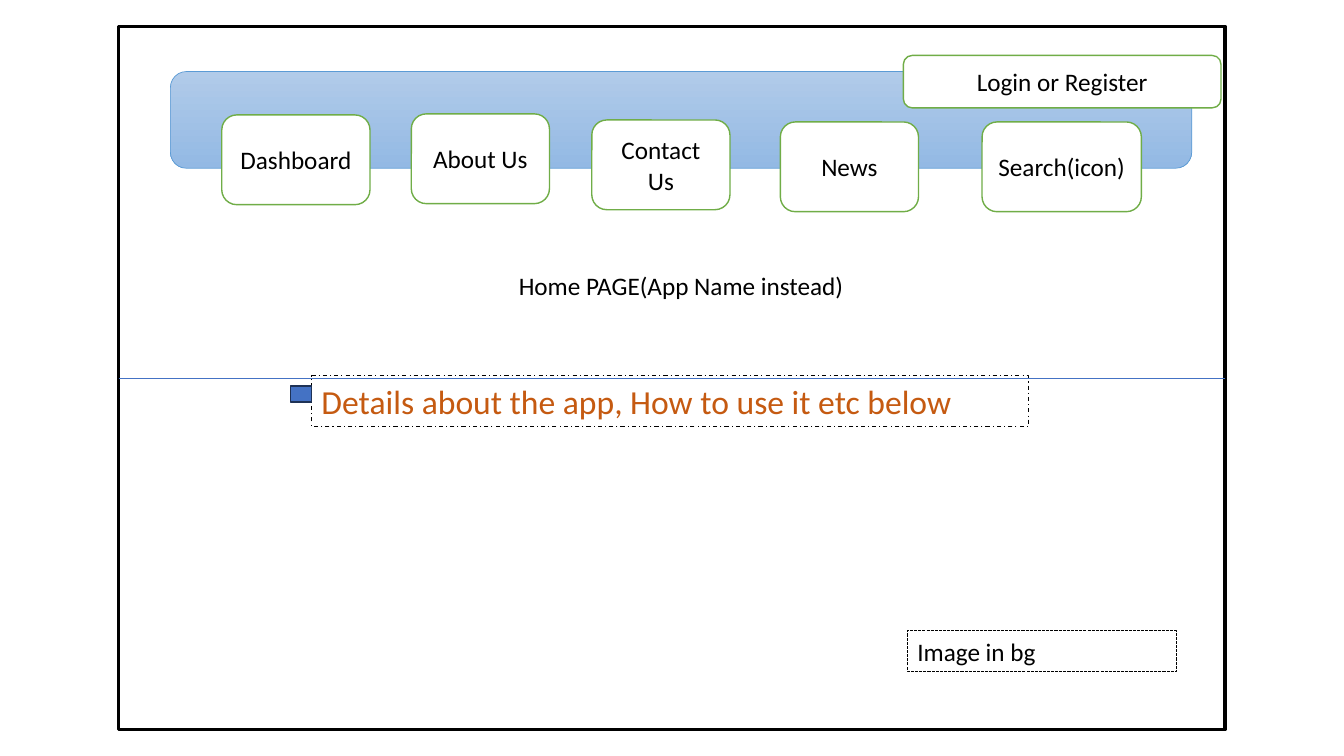
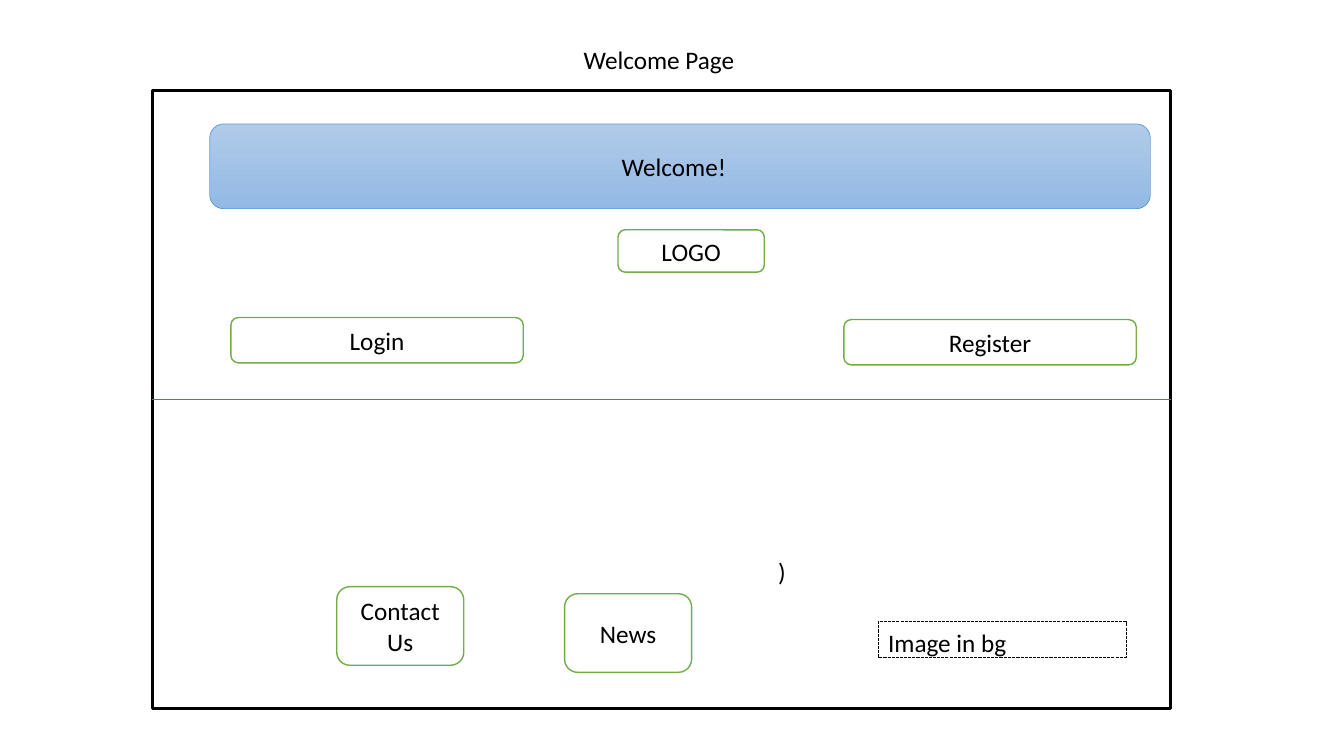
from dataclasses import dataclass

from lxml import etree
from pptx import Presentation
from pptx.dml.color import RGBColor
from pptx.enum.dml import MSO_LINE
from pptx.enum.shapes import MSO_CONNECTOR, MSO_SHAPE
from pptx.enum.text import MSO_ANCHOR, PP_ALIGN
from pptx.oxml.ns import qn
from pptx.util import Emu, Pt

RECT, ROUNDED = MSO_SHAPE.RECTANGLE, MSO_SHAPE.ROUNDED_RECTANGLE
STRAIGHT = MSO_CONNECTOR.STRAIGHT
SYS_DASH, DASH_DOT = MSO_LINE.SQUARE_DOT, MSO_LINE.DASH_DOT
LEFT, CENTER = PP_ALIGN.LEFT, PP_ALIGN.CENTER
TOP, MIDDLE = MSO_ANCHOR.TOP, MSO_ANCHOR.MIDDLE
LEFT_SIDE, RIGHT_SIDE = 1, 3

EMU_PER_PX = 9144  # 100 px to the inch
SLIDE_SIZE = (1333, 750)


@dataclass(frozen=True)
class Theme:
    font: str = "Calibri"
    body_size: int = 18
    detail_size: int = 24
    ink: str = "000000"
    paper: str = "FFFFFF"
    accent: str = "4472C4"
    marker_line: str = "1E3256"
    button_line: str = "70AD47"
    banner_line: str = "5B9BD5"
    banner_top: str = "B1CBE9"
    banner_bottom: str = "93B9E4"
    detail_ink: str = "C55A11"


THEME = Theme()

# Boxes are (left, top, width, height) in px.
HOME = {
    "frame": (118, 26, 1097, 698),
    "banner": ((169, 71, 1013, 96), "", 0),
    "buttons": [
        ("Dashboard", (220, 114, 147, 89)),
        ("About Us", (408, 113, 137, 89)),
        ("Contact Us", (587, 119, 137, 89)),
        ("News", (774, 121, 137, 89)),
        ("Search(icon)", (974, 121, 158, 89)),
        ("Login or Register", (896, 55, 315, 52)),
    ],
    "labels": [("Home PAGE(App Name instead)", (472, 263, 407, 40), CENTER)],
    "image_note": (900, 626, 267, 40),
}
HOME_DETAILS = ("Details about the app, How to use it etc below", (309, 373, 711, 50))
HOME_MARKER = (288, 383, 21, 16)

WELCOME = {
    "frame": (151, 90, 1010, 613),
    "banner": ((208, 123, 933, 84), "Welcome!", 12),
    "buttons": [
        ("Contact Us", (334, 582, 126, 78)),
        ("News", (560, 589, 126, 78)),
        ("LOGO", (613, 228, 145, 42)),
        ("Login", (229, 315, 290, 45)),
        ("Register", (837, 317, 290, 45)),
    ],
    "labels": [
        ("Welcome Page", (569, 39, 171, 40), LEFT),
        (")", (588, 547, 375, 40), CENTER),
    ],
    "image_note": (871, 617, 246, 35),
}


def px(value):
    return Emu(value * EMU_PER_PX)


def rgb(color):
    return RGBColor.from_string(color)


def write(shape, text, align=CENTER, anchor=MIDDLE, size=THEME.body_size, color=THEME.ink):
    frame = shape.text_frame
    frame.word_wrap = True
    frame.vertical_anchor = anchor
    para = frame.paragraphs[0]
    para.alignment = align
    span = para.add_run()
    span.text = text
    span.font.name = THEME.font
    span.font.size = Pt(size)
    span.font.color.rgb = rgb(color)


def add_box(page, kind, box, line, width, fill=None, dash=None):
    shape = page.shapes.add_shape(kind, *map(px, box))
    shape.shadow.inherit = False
    if fill:
        shape.fill.solid()
        shape.fill.fore_color.rgb = rgb(fill)
    else:
        shape.fill.background()
    shape.line.color.rgb = rgb(line)
    shape.line.width = Pt(width)
    if dash:
        shape.line.dash_style = dash
    return shape


def add_label(page, text, box, align):
    write(page.shapes.add_textbox(*map(px, box)), text, align, TOP)


def add_note(page, text, box, dash, **style):
    """Add a dashed, unfilled box with left-aligned text."""
    note = add_box(page, RECT, box, THEME.ink, 0.75, dash=dash)
    write(note, text, LEFT, TOP, **style)


def add_banner(page, box, text, extra_right):
    """Add the gradient bar; extra_right widens its right text inset."""
    banner = add_box(page, ROUNDED, box, THEME.banner_line, 0.5)
    banner.fill.gradient()
    banner.fill.gradient_angle = 270
    for stop, color in zip(banner.fill.gradient_stops, (THEME.banner_top, THEME.banner_bottom)):
        stop.color.rgb = rgb(color)
    if text:
        write(banner, text)
        banner.text_frame.margin_right += px(extra_right)


def add_divider(page, frame):
    """Draw a line across the middle of the frame."""
    middle = frame.top + frame.height // 2
    line = page.shapes.add_connector(STRAIGHT, frame.left, middle, frame.left + frame.width, middle)
    line.begin_connect(frame, LEFT_SIDE)
    line.end_connect(frame, RIGHT_SIDE)
    line.line.color.rgb = rgb(THEME.accent)
    line.line.width = Pt(0.5)
    etree.SubElement(line._element.spPr, qn("a:effectLst"))


def add_wireframe(deck, content):
    page = deck.slides.add_slide(deck.slide_layouts[6])
    frame = add_box(page, RECT, content["frame"], THEME.ink, 2.25, THEME.paper)
    add_divider(page, frame)
    for label in content["labels"]:
        add_label(page, *label)
    add_note(page, "Image in bg", content["image_note"], SYS_DASH)
    add_banner(page, *content["banner"])
    for text, box in content["buttons"]:
        write(add_box(page, ROUNDED, box, THEME.button_line, 1, THEME.paper), text)
    return page


def main():
    deck = Presentation()
    deck.slide_width, deck.slide_height = map(px, SLIDE_SIZE)
    home = add_wireframe(deck, HOME)
    add_note(home, *HOME_DETAILS, DASH_DOT, size=THEME.detail_size, color=THEME.detail_ink)
    add_box(home, RECT, HOME_MARKER, THEME.marker_line, 1, THEME.accent)
    add_wireframe(deck, WELCOME)
    deck.save("out.pptx")


if __name__ == "__main__":
    main()
